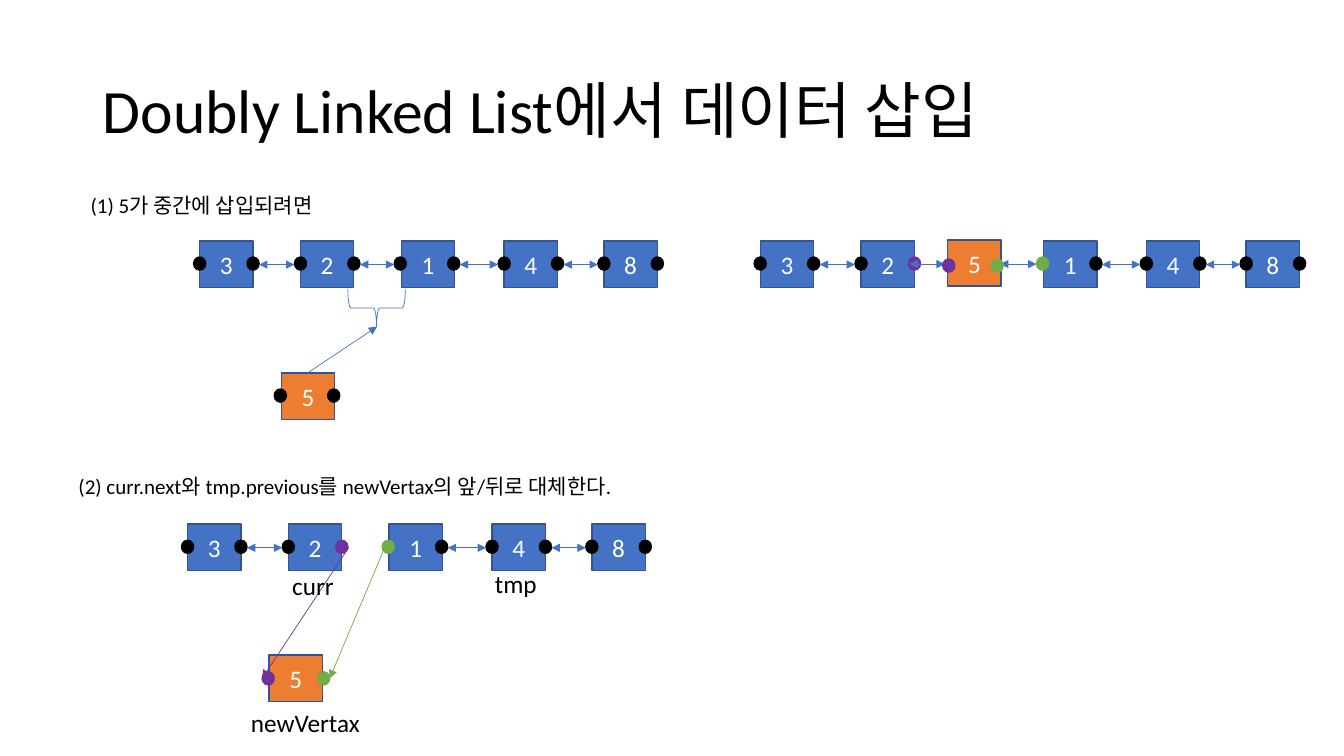
from dataclasses import dataclass

from lxml import etree
from pptx import Presentation
from pptx import util as u
from pptx.dml.color import RGBColor
from pptx.enum import shapes, text
from pptx.oxml.ns import qn


@dataclass(frozen=True)
class Theme:
    font: str = "Calibri"
    ink: str = "000000"
    paper: str = "FFFFFF"
    node: str = "4472C4"
    new_node: str = "ED7D31"
    outline: str = "325491"
    previous: str = "7030A0"
    following: str = "70AD47"
    title_size: float = 44
    step_size: float = 15
    label_size: float = 18
    border: float = 1
    hairline: float = 0.5


THEME = Theme()
CELL = u.Inches(0.1)
COLUMNS, ROWS = 133.3, 75
NODE_WIDTH, NODE_HEIGHT = 5.3, 4.6
PORT_WIDTH, PORT_HEIGHT = 1.2, 1.3
LINK_DROP = 2.35


@dataclass(frozen=True)
class Node:
    value: str
    column: float
    row: float
    fill: str = THEME.node
    left_port: str = THEME.ink
    right_port: str = THEME.ink
    port_offsets: tuple[float, float] = (-0.6, 4.7)
    port_drop: float = 1.6


@dataclass(frozen=True)
class Arrow:
    start: tuple[float, float]
    end: tuple[float, float]
    color: str = THEME.node
    both_ends: bool = False


@dataclass(frozen=True)
class Caption:
    words: str
    column: float
    row: float
    width: float
    height: float
    size: float = THEME.label_size


def grid(*cells: float) -> list[int]:
    return [round(cell * CELL) for cell in cells]


def style_text(frame, size: float, color: str, align) -> None:
    for para in frame.paragraphs:
        para.alignment = align
        for span in para.runs:
            span.font.name = THEME.font
            span.font.size = u.Pt(size)
            span.font.color.rgb = RGBColor.from_string(color)


def add_figure(page, kind, area: tuple, fill: str, line: str):
    figure = page.shapes.add_shape(kind, *grid(*area))
    figure.shadow.inherit = False
    figure.fill.solid()
    figure.fill.fore_color.rgb = RGBColor.from_string(fill)
    figure.line.color.rgb = RGBColor.from_string(line)
    figure.line.width = u.Pt(THEME.border)
    return figure


def draw_box(page, node: Node) -> None:
    area = (node.column, node.row, NODE_WIDTH, NODE_HEIGHT)
    box = add_figure(page, shapes.MSO_SHAPE.RECTANGLE, area, node.fill, THEME.outline)
    box.text_frame.text = node.value
    box.text_frame.vertical_anchor = text.MSO_ANCHOR.MIDDLE
    style_text(box.text_frame, THEME.label_size, THEME.paper, text.PP_ALIGN.CENTER)


def draw_ports(page, node: Node) -> None:
    for offset, color in zip(node.port_offsets, (node.left_port, node.right_port)):
        area = (node.column + offset, node.row + node.port_drop, PORT_WIDTH, PORT_HEIGHT)
        add_figure(page, shapes.MSO_SHAPE.OVAL, area, color, color)


def draw_arrow(page, arrow: Arrow) -> None:
    line = page.shapes.add_connector(
        shapes.MSO_CONNECTOR.STRAIGHT, *grid(*arrow.start, *arrow.end)
    )
    line.line.color.rgb = RGBColor.from_string(arrow.color)
    line.line.width = u.Pt(THEME.hairline)
    stroke = line.line._get_or_add_ln()
    for end in ("a:headEnd", "a:tailEnd") if arrow.both_ends else ("a:tailEnd",):
        etree.SubElement(stroke, qn(end)).set("type", "triangle")
    etree.SubElement(line._element.spPr, qn("a:effectLst"))


def draw_caption(page, caption: Caption) -> None:
    area = grid(caption.column, caption.row, caption.width, caption.height)
    box = page.shapes.add_textbox(*area)
    box.text_frame.word_wrap = True
    box.text_frame.text = caption.words
    style_text(box.text_frame, caption.size, THEME.ink, text.PP_ALIGN.LEFT)


def make_chain(column: float, row: float, gap: float = 0, split: bool = False) -> list[Node]:
    nodes = []
    for value, offset in zip("32148", (0, 10, 20, 30.2, 40.1)):
        nodes.append(Node(
            value,
            column + offset + (gap if offset >= 20 else 0),
            row,
            left_port=THEME.following if split and value == "1" else THEME.ink,
            right_port=THEME.previous if split and value == "2" else THEME.ink,
            port_offsets=(-0.7, 4.6) if value == "1" else (-0.6, 4.7),
        ))
    return nodes


def draw_chain(page, nodes: list[Node], split: bool = False) -> None:
    for node in nodes:
        draw_box(page, node)
        draw_ports(page, node)
    for node, successor in zip(nodes, nodes[1:]):
        if split and node.value == "2":
            continue
        height = node.row + LINK_DROP
        start = node.column + node.port_offsets[1] + PORT_WIDTH
        end = successor.column + successor.port_offsets[0]
        draw_arrow(page, Arrow((start, height), (end, height), both_ends=True))


def draw_title(page, words: str) -> None:
    title = page.shapes.title
    title.left, title.top, title.width, title.height = grid(9.2, 4, 115, 14.5)
    frame = title.text_frame
    frame.text = words
    frame.auto_size = text.MSO_AUTO_SIZE.NONE
    frame.vertical_anchor = text.MSO_ANCHOR.MIDDLE
    frame.paragraphs[0].line_spacing = 0.9
    style_text(frame, THEME.title_size, THEME.ink, text.PP_ALIGN.LEFT)


def draw_brace(page) -> None:
    area = (35.5, 27.7, 3.7, 5.7)
    brace = add_figure(page, shapes.MSO_SHAPE.LEFT_BRACE, area, THEME.paper, THEME.node)
    brace.fill.background()
    brace.line.width = u.Pt(THEME.hairline)
    brace.rotation = 270


def main() -> None:
    deck = Presentation()
    deck.slide_width, deck.slide_height = grid(COLUMNS, ROWS)
    page = deck.slides.add_slide(deck.slide_layouts[5])
    draw_title(page, "Doubly Linked List에서 데이터 삽입")

    draw_chain(page, make_chain(19.8, 23.9))
    waiting = Node("5", 27.9, 37, THEME.new_node, port_offsets=(-0.7, 4.6))
    draw_box(page, waiting)
    draw_ports(page, waiting)
    draw_arrow(page, Arrow((30.5, 37), (37.4, 32.4)))
    draw_brace(page)

    draw_chain(page, make_chain(18.6, 52, split=True), split=True)
    colors = (THEME.new_node, THEME.previous, THEME.following)
    joining = Node("5", 26.7, 65, *colors, (-0.7, 4.8), 1.65)
    draw_box(page, joining)
    draw_ports(page, joining)
    draw_arrow(page, Arrow((34.6, 54.3), (26, 67.3), THEME.previous))
    draw_arrow(page, Arrow((38, 54.7), (32.7, 67.3), THEME.following))

    draw_chain(page, make_chain(75.4, 23.9, gap=8.1, split=True), split=True)
    inserted = Node("5", 94, 23.8, *colors, (-0.5, 4.3), 1.9)
    draw_box(page, inserted)
    for start, end in ((90.2, 93.7), (99.2, 102.8)):
        draw_arrow(page, Arrow((start, 26.2), (end, 26.2), both_ends=True))
    draw_ports(page, inserted)

    for caption in (
        Caption("(1) 5가 중간에 삽입되려면", 8, 18.6, 40.8, 3.5, THEME.step_size),
        Caption("(2) curr.next와 tmp.previous를 newVertax의 앞/뒤로 대체한다.",
                6.8, 46.5, 65, 3.5, THEME.step_size),
        Caption("curr", 28, 56.1, 7.2, 4),
        Caption("tmp", 48.1, 55.9, 7.2, 4),
        Caption("newVertax", 23.9, 69.7, 13.8, 4),
    ):
        draw_caption(page, caption)
    deck.save("out.pptx")


if __name__ == "__main__":
    main()
